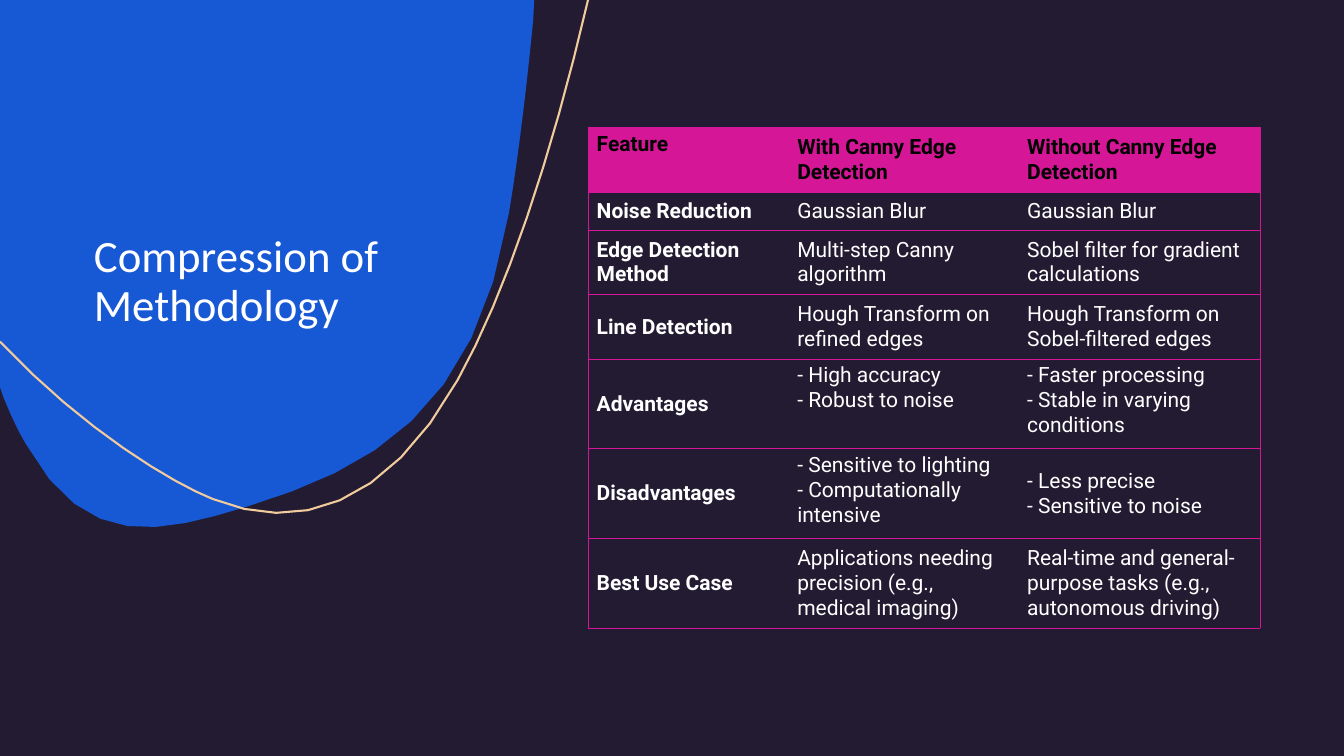
import pptx
import pptx.dml.color
import pptx.enum.shapes
import pptx.enum.text
import pptx.oxml.ns
import pptx.util
from lxml import etree

PX = 3048  # EMU in one px, 300 px to the inch
WIDE, HIGH = 4000, 2250
INK, BLUE, PINK, SAND = "231B31", "1758D5", "D51797", "F1CB9C"
WHITE, BLACK = "FFFFFF", "000000"
TOP = pptx.enum.text.MSO_ANCHOR.TOP
MIDDLE = pptx.enum.text.MSO_ANCHOR.MIDDLE
BOTTOM = pptx.enum.text.MSO_ANCHOR.BOTTOM


def color(code):
    return pptx.dml.color.RGBColor.from_string(code)


def bend(start, a, b, end, steps=8):
    """Return points along a cubic curve, without its start."""
    points = []
    for i in range(1, steps + 1):
        t = i / steps
        u = 1 - t
        points.append(tuple(
            u**3 * p + 3 * u * u * t * q + 3 * u * t * t * r + t**3 * s
            for p, q, r, s in zip(start, a, b, end)))
    return points


def trace(start, curves):
    points = [start]
    for curve in curves:
        points += bend(points[-1], *curve)
    return points


class Deck:
    def __init__(self):
        self.file = pptx.Presentation()
        self.file.slide_width = WIDE * PX
        self.file.slide_height = HIGH * PX
        self.slide = self.file.slides.add_slide(self.file.slide_layouts[6])
        self.flood(self.slide.background.fill, INK)

    def flood(self, fill, code):
        fill.solid()
        fill.fore_color.rgb = color(code)

    def style(self, frame, face, size, ink, bold=False):
        for para in frame.paragraphs:
            font = para.font
            font.name, font.size, font.bold = face, pptx.util.Pt(size), bold
            font.color.rgb = color(ink)

    def paint(self, shape, fill=None, line=None, width=1.5):
        shape.shadow.inherit = False
        if fill:
            self.flood(shape.fill, fill)
        else:
            shape.fill.background()
        if line:
            shape.line.color.rgb = color(line)
            shape.line.width = pptx.util.Pt(width)
        else:
            shape.line.fill.background()

    def panel(self, x, y, wide, high, fill):
        kind = pptx.enum.shapes.MSO_SHAPE.RECTANGLE
        self.paint(self.slide.shapes.add_shape(
            kind, x * PX, y * PX, wide * PX, high * PX), fill)

    def curve(self, points, fill=None, line=None):
        """Draw a closed shape if it has a fill, else an open line."""
        dots = [(x * PX, y * PX) for x, y in points]
        pen = self.slide.shapes.build_freeform(*dots[0])
        pen.add_line_segments(dots[1:], close=bool(fill))
        self.paint(pen.convert_to_shape(), fill, line)

    def title(self, text, x, y, wide, high):
        box = self.slide.shapes.add_textbox(x * PX, y * PX, wide * PX, high * PX)
        frame = box.text_frame
        frame.word_wrap = True
        frame.vertical_anchor = BOTTOM
        frame.text = text
        frame.paragraphs[0].line_spacing = 0.9
        self.style(frame, "Calibri", 32, WHITE)

    def border(self, cell, sides):
        """Rule the named sides of a cell and clear the others."""
        props = cell._tc.get_or_add_tcPr()
        name = pptx.oxml.ns.qn
        for side in "LRTB":
            line = etree.SubElement(props, name("a:ln" + side))
            if side in sides:
                line.set("w", str(pptx.util.Pt(0.5)))
                fill = etree.SubElement(line, name("a:solidFill"))
                etree.SubElement(fill, name("a:srgbClr"), val=PINK)
                etree.SubElement(line, name("a:prstDash"), val="solid")
            else:
                etree.SubElement(line, name("a:noFill"))

    def table(self, rows, x, y, cols, highs, tops):
        """Draw a table; cells whose (row, column) is in tops sit at the top."""
        grid = self.slide.shapes.add_table(
            len(highs), len(cols), x * PX, y * PX,
            sum(cols) * PX, sum(highs) * PX).table
        grid.first_row = grid.horz_banding = False
        for col, wide in zip(grid.columns, cols):
            col.width = wide * PX
        for row, high in zip(grid.rows, highs):
            row.height = high * PX
        ends = {0: "L", len(cols) - 1: "R"}
        for r, texts in enumerate(rows):
            for c, text in enumerate(texts):
                cell = grid.cell(r, c)
                cell.text_frame.text = text
                cell.margin_left = cell.margin_right = 26 * PX
                cell.margin_top = cell.margin_bottom = 13 * PX
                cell.vertical_anchor = TOP if (r, c) in tops else MIDDLE
                self.style(cell.text_frame, "Roboto", 15,
                           WHITE if r else BLACK, r == 0 or c == 0)
                self.border(cell, "TB" + ends.get(c, ""))
                if r:
                    cell.fill.background()
                else:
                    self.flood(cell.fill, PINK)


ROWS = [
    ("Feature", "With Canny Edge Detection", "Without Canny Edge Detection"),
    ("Noise Reduction", "Gaussian Blur", "Gaussian Blur"),
    ("Edge Detection Method", "Multi-step Canny algorithm",
     "Sobel filter for gradient calculations"),
    ("Line Detection", "Hough Transform on refined edges",
     "Hough Transform on Sobel-filtered edges"),
    ("Advantages", "- High accuracy\v- Robust to noise",
     "- Faster processing\v- Stable in varying conditions"),
    ("Disadvantages", "- Sensitive to lighting\v- Computationally intensive",
     "- Less precise\n- Sensitive to noise"),
    ("Best Use Case", "Applications needing precision (e.g., medical imaging)",
     "Real-time and general-purpose tasks (e.g., autonomous driving)"),
]
BLOB = [
    ((1575, 186), (1548, 438), (1515, 633)),
    ((1416, 1233), (1101, 1395), (732, 1509)),
    ((483, 1584), (258, 1647), (78, 1323)),
    ((51, 1278), (30, 1230), (9, 1179)),
]
SWOOP = [
    ((1641, 471), (1503, 879), (1362, 1131)),
    ((1149, 1512), (882, 1587), (633, 1485)),
    ((519, 1440), (252, 1284), (0, 1017)),
]


def main():
    deck = Deck()
    deck.panel(0, 0, WIDE, HIGH, INK)
    deck.curve([(1590, 0)] + trace((1587, 60), BLOB) + [(0, 1152), (0, 0)],
               fill=BLUE)
    deck.curve(trace((1750, 0), SWOOP), line=SAND)
    deck.title("Compression of Methodology", 250, 250, 1000, 750)
    deck.table(ROWS, 1750, 379, (597, 684, 719),
               (192, 114, 192, 192, 267, 267, 267),
               {(0, 0), (4, 1), (4, 2), (5, 1)})
    deck.file.save("out.pptx")


if __name__ == "__main__":
    main()
